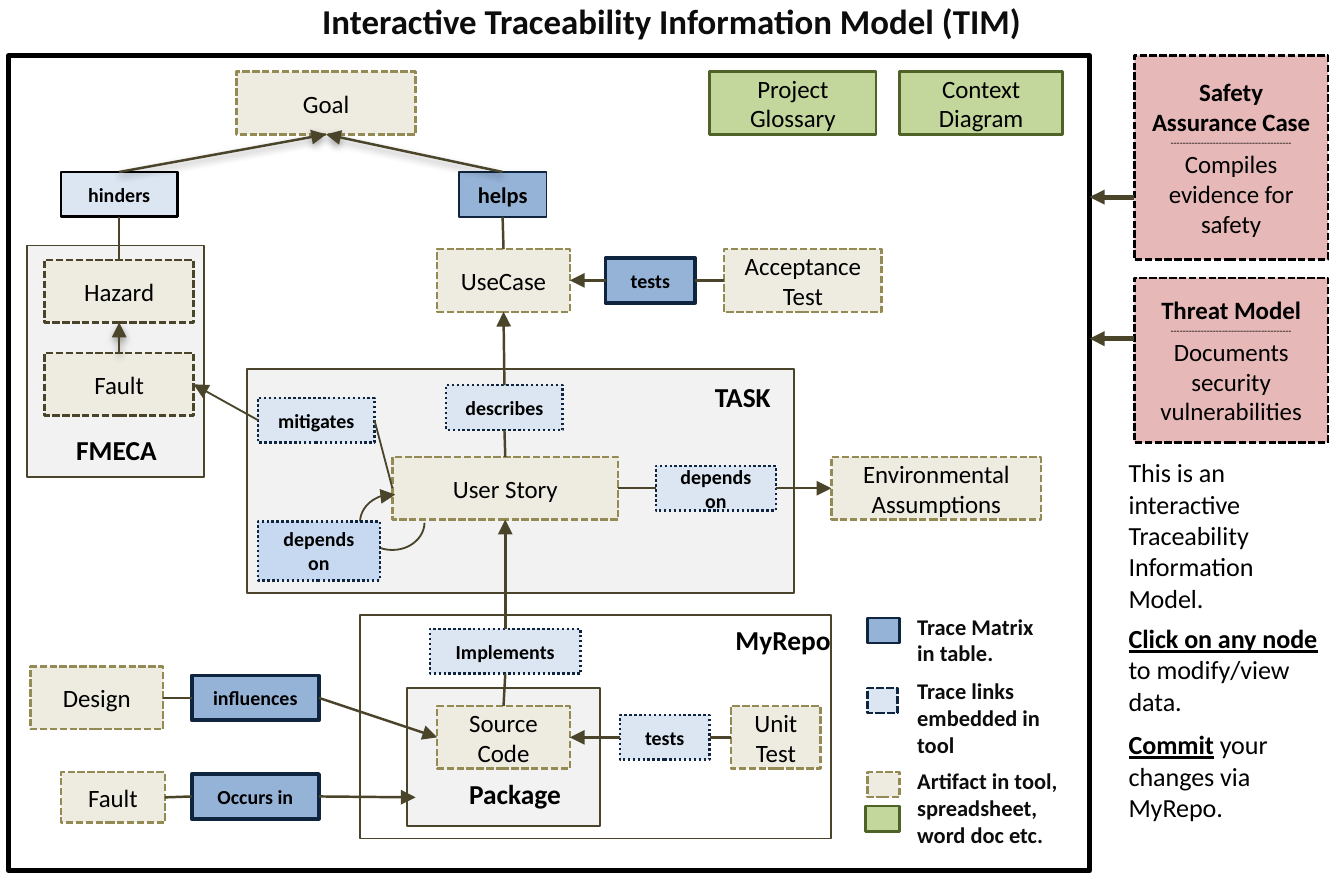
from pptx import Presentation
from pptx.dml.color import RGBColor
from pptx.enum.dml import MSO_LINE as Dash
from pptx.enum.shapes import MSO_CONNECTOR as Conn, MSO_SHAPE as Shape
from pptx.enum.text import MSO_ANCHOR as Anchor, MSO_AUTO_SIZE as Fit, PP_ALIGN as Align
from pptx.oxml.ns import qn
from pptx.util import Inches, Pt
from lxml.etree import SubElement

# Content: name -> (kind, (column, row, columns, rows), text), back to front
TITLE = "Interactive Traceability Information Model (TIM)"
NODES = {
    "frame": ("frame", (5, 31, 603, 455), ""),
    "task panel": ("panel", (138, 206, 305, 125), ""),
    "repo panel": ("outline", (201, 343, 263, 125), ""),
    "package panel": ("panel", (227, 384, 108, 77), ""),
    "fmeca panel": ("panel", (15, 137, 99, 129), ""),
    "hazard": ("risk", (25, 145, 83, 35), "Hazard"),
    "fault": ("risk", (25, 197, 83, 35), "Fault"),
    "goal": ("artifact", (132, 40, 100, 35), "Goal"),
    "use case": ("artifact", (244, 139, 74, 35), "UseCase"),
    "acceptance": ("artifact", (404, 139, 88, 35), "Acceptance Test"),
    "story": ("artifact", (219, 255, 126, 35), "User Story"),
    "environment": ("artifact", (464, 255, 117, 35), "Environmental Assumptions"),
    "design": ("artifact", (17, 372, 74, 35), "Design"),
    "source": ("artifact", (244, 394, 74, 35), "Source Code"),
    "unit test": ("artifact", (408, 394, 50, 35), "Unit Test"),
    "code fault": ("artifact", (34, 431, 58, 28), "Fault"),
    "glossary": ("document", (396, 40, 93, 35), "Project Glossary"),
    "context": ("document", (502, 40, 91, 35), "Context Diagram"),
    "hinders": ("hinders", (34, 96, 65, 25), "hinders"),
    "helps": ("helps", (256, 96, 49, 25), "helps"),
    "accepts": ("matrix", (338, 144, 50, 25), "tests"),
    "influences": ("matrix", (107, 377, 71, 25), "influences"),
    "occurs": ("matrix", (107, 432, 71, 25), "Occurs in"),
    "describes": ("embedded", (249, 215, 65, 25), "describes"),
    "mitigates": ("embedded", (144, 222, 65, 25), "mitigates"),
    "needs": ("embedded", (366, 260, 67, 25), "depends on"),
    "implements": ("embedded", (240, 351, 84, 25), "Implements"),
    "checks": ("embedded", (346, 399, 50, 25), "tests"),
    "story loop": ("loop", (201, 276, 36, 31), ""),
    "self need": ("self", (144, 291, 68, 33), "depends on"),
    "matrix key": ("matrix key", (484, 345, 18, 14), ""),
    "embedded key": ("embedded key", (484, 384, 17, 14), ""),
    "artifact key": ("artifact", (484, 431, 18, 14), ""),
    "document key": ("document", (483, 450, 19, 14), ""),
    "safety": ("case", (633, 31, 108, 114),
               ("Safety Assurance Case", "Compiles evidence for safety")),
    "threat": ("case", (633, 155, 108, 92),
               ("Threat Model", "Documents security vulnerabilities")),
}
# Straight links: (start, end, look); an end is (node, side) or a grid point
LINKS = [
    (("hinders", "top"), ("goal", "bottom"), "shadow arrow"),
    (("helps", "top"), ("goal", "bottom"), "shadow arrow"),
    (("fault", "top"), ("hazard", "bottom"), "shadow arrow"),
    (("hinders", "bottom"), ("hazard", "top"), "line"),
    (("helps", "bottom"), ("use case", "top"), "line"),
    (("acceptance", "left"), ("accepts", "right"), "line"),
    (("accepts", "left"), ("use case", "right"), "arrow"),
    (("story", "top"), ("describes", "bottom"), "line"),
    (("describes", "top"), ("use case", "bottom"), "arrow"),
    (("mitigates", "left"), ("fault", "right"), "thin arrow"),
    (("story", "left"), ("mitigates", "right"), "thin line"),
    (("needs", "left"), ("story", "right"), "line"),
    (("needs", "right"), ("environment", "left"), "arrow"),
    (("source", "top"), ("implements", "bottom"), "line"),
    (("implements", "top"), ("story", "bottom"), "arrow"),
    (("unit test", "left"), ("checks", "right"), "line"),
    (("checks", "left"), ("source", "right"), "arrow"),
    (("influences", "left"), ("design", "right"), "line"),
    (("influences", "right"), ("source", "left"), "arrow"),
    (("occurs", "left"), ("code fault", "right"), "line"),
    (("occurs", "right"), (232, 445), "arrow"),
    ((633, 110), (608, 110), "thick arrow"),
    ((633, 189), (608, 189), "thick arrow"),
]
LABELS = [
    ((16, 237, 98, 29), "FMECA"), ((387, 207, 55, 29), "TASK"),
    ((400, 343, 74, 29), "MyRepo"), ((246, 429, 83, 29), "Package"),
]
LEGEND = [
    ((502, 337, 131, 40), "Trace Matrix\vin table."),
    ((502, 373, 95, 56), "Trace links embedded in tool"),
    ((502, 423, 108, 56), "Artifact in tool, spreadsheet, word doc etc."),
]
# Side note: (underlined lead, rest, space before)
NOTE_BOX = (620, 250, 130, 216)
NOTE = [
    ("", "This is an interactive Traceability Information Model.", 0),
    ("Click on any node ", "to modify/view data.", 3.7),
    ("Commit", " your changes via MyRepo.", 4.9),
]


# Theme: kinds are (fill, line, line width, dash, type size, bold)
class Theme:
    font = "Calibri"
    black, ink, white = "000000", "0D0D0D", "FFFFFF"
    olive, navy, sand, pale, blue = "4A452A", "0F243E", "EEECE1", "DCE6F2", "95B3D7"
    title, label, note, legend, rule = 14, 11, 10.5, 9, 4
    kinds = {
        "frame": (None, black, 2, None, 10, False),
        "panel": ("F2F2F2", olive, 0.75, None, 10, False),
        "outline": (None, olive, 0.75, None, 10, False),
        "loop": (None, olive, 0.75, None, 10, False),
        "risk": (sand, olive, 1, Dash.SQUARE_DOT, 10, False),
        "artifact": (sand, "948A54", 1, Dash.SQUARE_DOT, 10, False),
        "document": ("C3D69B", "4F6228", 1, None, 10, False),
        "case": ("E6B9B8", black, 1, Dash.SQUARE_DOT, 10, False),
        "hinders": (pale, black, 1, None, 8, True),
        "helps": (blue, navy, 0.75, None, 9, True),
        "matrix": (blue, navy, 1.5, None, 8, True),
        "embedded": (pale, navy, 1, Dash.ROUND_DOT, 8, True),
        "self": ("C6D9F1", navy, 1, Dash.ROUND_DOT, 8, True),
        "matrix key": (blue, navy, 1, None, 8, True),
        "embedded key": (pale, navy, 1, Dash.SQUARE_DOT, 8, True),
    }
    weights = {"thin": 0.75, "thick": 2}


SIDES = {"top": 0, "left": 1, "bottom": 2, "right": 3}
COLS, ROWS = 750, 490
rgb = RGBColor.from_string

prs = Presentation()
prs.slide_width, prs.slide_height = Inches(7.5), Inches(4.9)
s = prs.slides.add_slide(prs.slide_layouts[5])


def grid(col, row):
    return round(col * prs.slide_width / COLS), round(row * prs.slide_height / ROWS)


def place(box):
    return grid(*box[:2]) + grid(*box[2:])


def style(p, size, bold=False, align=Align.CENTER, color=Theme.black):
    p.alignment = align
    p.font.name, p.font.size, p.font.bold = Theme.font, Pt(size), bold
    p.font.color.rgb = rgb(color)


def arrowhead(sp, end):
    SubElement(sp.line._get_or_add_ln(), qn(end), type="triangle")


def add_node(kind, box, text):
    fill, line, width, dash, size, bold = Theme.kinds[kind]
    sp = s.shapes.add_shape(Shape.ARC if kind == "loop" else Shape.RECTANGLE, *place(box))
    sp.shadow.inherit = False
    if fill:
        sp.fill.solid()
        sp.fill.fore_color.rgb = rgb(fill)
    else:
        sp.fill.background()
    sp.line.color.rgb, sp.line.width = rgb(line), Pt(width)
    if dash:
        sp.line.dash_style = dash
    if kind == "loop":
        sp.adjustments[0], sp.adjustments[1] = 158.36, 107.48
        sp._element.spPr.find(qn("a:xfrm")).set("flipH", "1")
        arrowhead(sp, "a:headEnd")
    tf = sp.text_frame
    tf.word_wrap, tf.vertical_anchor = True, Anchor.MIDDLE
    if kind == "case":
        head, body = text
        tf.text = "\n".join((head, "-" * 40, body))
        for p, (pt, strong) in zip(tf.paragraphs, ((size, True), (Theme.rule, False), (size, False))):
            style(p, pt, strong)
    elif text:
        tf.text = text
        style(tf.paragraphs[0], size, bold)
    return sp


def add_link(start, end, look):
    c = s.shapes.add_connector(Conn.STRAIGHT, *(
        n for e in (start, end) for n in (grid(0, 0) if e[0] in nodes else grid(*e))))
    for e, connect in ((start, c.begin_connect), (end, c.end_connect)):
        if e[0] in nodes:
            connect(nodes[e[0]], SIDES[e[1]])
    c.line.color.rgb = rgb(Theme.olive)
    c.line.width = Pt(Theme.weights.get(look.split()[0], 1))
    if "arrow" in look:
        arrowhead(c, "a:tailEnd")
    effects = SubElement(c._element.spPr, qn("a:effectLst"))
    if "shadow" in look:
        shadow = SubElement(effects, qn("a:outerShdw"), blurRad=str(Pt(3.1)),
                            dist=str(Pt(1.6)), dir="5400000", rotWithShape="0")
        color = SubElement(shadow, qn("a:srgbClr"), val=Theme.black)
        SubElement(color, qn("a:alpha"), val="38000")


def add_text(box, wrap=True):
    tf = s.shapes.add_textbox(*place(box)).text_frame
    tf.word_wrap = wrap
    return tf


# Title
sp = s.shapes.title
sp.left, sp.top, sp.width, sp.height = place((0, -5, 750, 33))
sp.fill.solid()
sp.fill.fore_color.rgb = rgb(Theme.white)
tf = sp.text_frame
tf.text, tf.vertical_anchor, tf.auto_size = TITLE, Anchor.MIDDLE, Fit.NONE
style(tf.paragraphs[0], Theme.title, True, color=Theme.ink)

# Diagram
nodes = {name: add_node(*node) for name, node in NODES.items()}
for link in LINKS:
    add_link(*link)

# Panel labels and legend
for box, text in LABELS:
    tf = add_text(box, wrap=False)
    tf.text = text
    style(tf.paragraphs[0], Theme.label, True)
for box, text in LEGEND:
    tf = add_text(box)
    tf.text = text
    style(tf.paragraphs[0], Theme.legend, True, Align.LEFT, Theme.ink)

# Side note
tf = add_text(NOTE_BOX)
for i, (lead, rest, gap) in enumerate(NOTE):
    p = tf.add_paragraph() if i else tf.paragraphs[0]
    p.space_before = Pt(gap)
    style(p, Theme.note, align=Align.LEFT)
    if lead:
        r = p.add_run()
        r.text, r.font.bold, r.font.underline = lead, True, True
    p.add_run().text = rest

prs.save("out.pptx")
